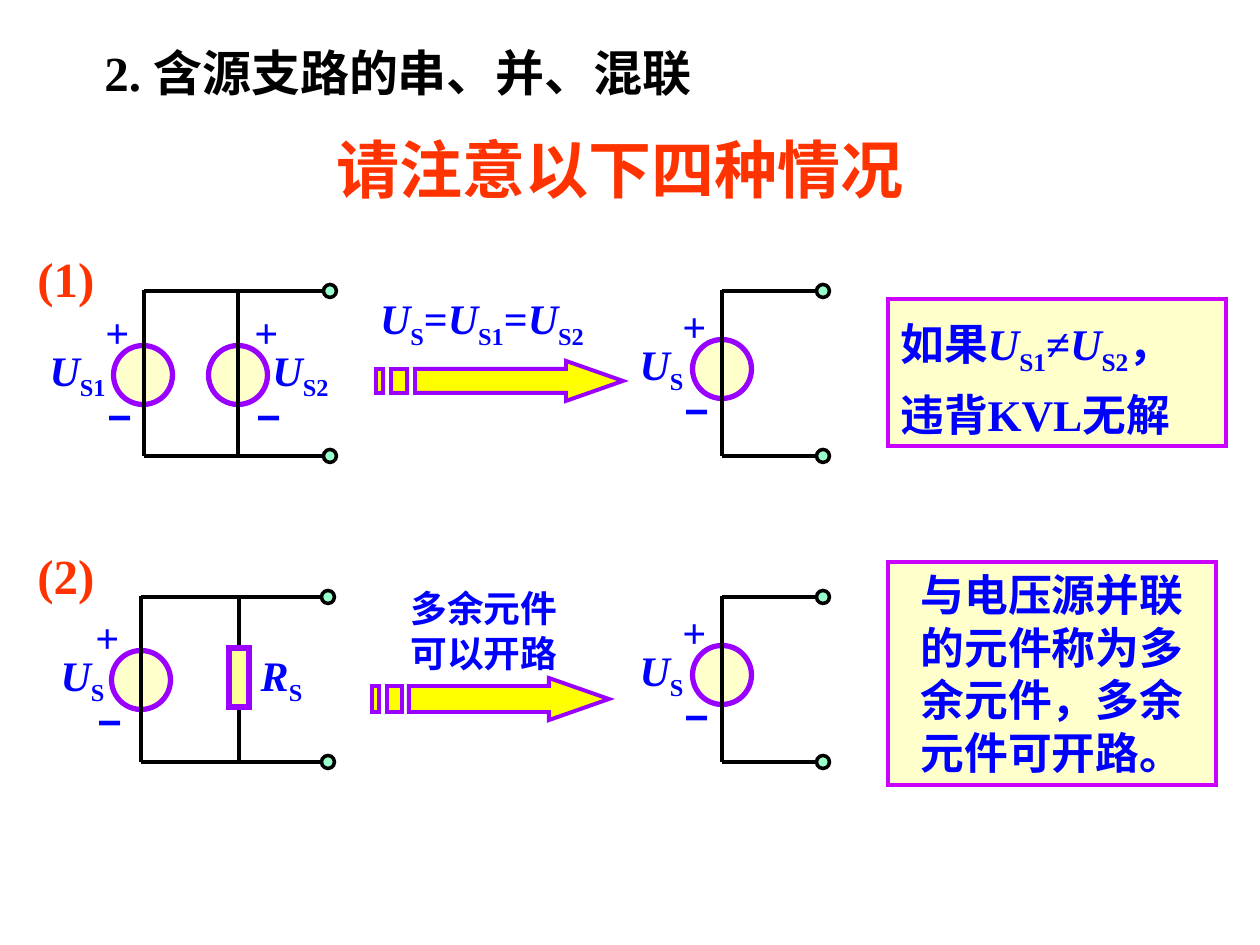
from lxml.etree import SubElement
from pptx import Presentation
from pptx.dml.color import RGBColor
from pptx.enum.shapes import MSO_CONNECTOR, MSO_SHAPE
from pptx.enum.text import MSO_ANCHOR, MSO_AUTO_SIZE, PP_ALIGN
from pptx.oxml.ns import qn
from pptx.util import Emu, Pt

COLORS = {
    "ink": "000000", "blue": "0000FF", "red": "FF3300", "cream": "FFFFCC",
    "resistor": "FFFF99", "terminal": "99FFCC", "arrow": "FFFF00",
    "violet": "9900FF", "frame": "CC00FF",
}
SERIF, SANS, CJK = "Times New Roman", "Arial", "Noto Sans CJK SC"
SCALE = 914400 / 126
SOURCE, TERMINAL, CIRCUIT_HEIGHT = 59, 13, 165


def quantity(letter, index):
    return [(letter, "italic"), (index, "sub")]


US, US1, US2, RS = (quantity(*q) for q in (("U", "S"), ("U", "S1"), ("U", "S2"), ("R", "S")))
EQUALS = [("=", "")]

HEADINGS = [
    ((282, 145, 675, 66), "请注意以下四种情况", 36, CJK, "red", PP_ALIGN.CENTER, 0.7),
    ((92, 36, 672, 72), "2. 含源支路的串、并、混联", 28, SERIF, "ink", PP_ALIGN.LEFT, 1),
    ((25, 242, 129, 72), "(1)", 28, SERIF, "red", PP_ALIGN.LEFT, 1),
    ((25, 539, 129, 72), "(2)", 28, SERIF, "red", PP_ALIGN.LEFT, 1),
]
NOTES = [
    ((888, 299, 338, 147), PP_ALIGN.LEFT, 1.2,
     [[("如果", "")] + US1 + [("≠", "")] + US2 + [("，", "")], [("违背KVL无解", "")]]),
    ((888, 562, 328, 223), PP_ALIGN.CENTER, 1,
     [[(line, "")] for line in ("与电压源并联", "的元件称为多", "余元件，多余", "元件可开路。")]),
]
CIRCUITS = [
    {"branches": [144, 238], "top": 291, "end": 330, "center": 375, "resistor": None,
     "sources": [(143, 93), (238, 242)],
     "labels": [(37, 81, US1), (260, 81, US2)]},
    {"branches": [722], "top": 291, "end": 823, "center": 369, "resistor": None,
     "sources": [(722, 670)], "labels": [(627, 69, US)]},
    {"branches": [141, 239], "top": 597, "end": 328, "center": 680, "resistor": (229, 648, 20, 59),
     "sources": [(141, 83)], "labels": [(48, 69, US), (248, 67, RS)]},
    {"branches": [722], "top": 597, "end": 823, "center": 675, "resistor": None,
     "sources": [(722, 670)], "labels": [(627, 69, US)]},
]
ARROWS = [
    {"bars": [(376, 383), (391, 407)], "shaft": 415, "neck": 566, "tip": 623, "middle": 381, "half": 20, "thick": 12},
    {"bars": [(372, 379), (387, 402)], "shaft": 409, "neck": 549, "tip": 609, "middle": 699, "half": 21, "thick": 13},
]
CAPTIONS = [
    ((352, 292, 260, 59), [US + EQUALS + US1 + EQUALS + US2], 24, 0.8),
    ((379, 580, 210, 101), [[("多余元件", "")], [("可以开路", "")]], 21, 1),
]


def px(value):
    return Emu(round(value * SCALE))


def rgb(name):
    return RGBColor.from_string(COLORS[name])


def paint(shape, fill, line, width):
    shape.shadow.inherit = False
    shape.fill.solid()
    shape.fill.fore_color.rgb = rgb(fill)
    shape.line.color.rgb = rgb(line)
    shape.line.width = Pt(width)
    outline = shape._element.spPr.find(qn("a:ln"))
    SubElement(outline, qn("a:miter")).set("lim", "800000")


def add_preset(shapes, preset, box, fill, line, width):
    shape = shapes.add_shape(preset, *map(px, box))
    paint(shape, fill, line, width)
    return shape


def add_disc(shapes, x, y, size, fill, line, width):
    add_preset(shapes, MSO_SHAPE.OVAL, (x - size / 2, y - size / 2, size, size), fill, line, width)


def add_wire(shapes, x1, y1, x2, y2):
    wire = shapes.add_connector(MSO_CONNECTOR.STRAIGHT, px(x1), px(y1), px(x2), px(y2))
    wire.line.color.rgb = rgb("ink")
    wire.line.width = Pt(2.25)
    SubElement(wire._element.spPr, qn("a:effectLst"))


def write(shape, lines, size, font=SERIF, color="blue", align=PP_ALIGN.CENTER,
          spacing=1, wrap=True, grow=True):
    frame = shape.text_frame
    frame.word_wrap = wrap
    frame.vertical_anchor = MSO_ANCHOR.TOP
    frame.auto_size = MSO_AUTO_SIZE.SHAPE_TO_FIT_TEXT if grow else MSO_AUTO_SIZE.NONE
    for number, parts in enumerate(lines):
        paragraph = frame.add_paragraph() if number else frame.paragraphs[0]
        paragraph.alignment = align
        paragraph.line_spacing = float(spacing)
        for words, style in parts:
            run = paragraph.add_run()
            run.text = words
            run.font.size = Pt(size)
            run.font.name = font
            run.font.bold = True
            run.font.italic = style == "italic"
            run.font.color.rgb = rgb(color)
            properties = run.font._element
            SubElement(properties, qn("a:ea")).set("typeface", CJK)
            if style == "sub":
                properties.set("baseline", "-25000")


def add_text(shapes, box, lines, size, **options):
    write(shapes.add_textbox(*map(px, box)), lines, size, **options)


def add_circuit(slide, circuit):
    shapes = slide.shapes.add_group_shape().shapes
    top, center, end = circuit["top"], circuit["center"], circuit["end"]
    bottom = top + CIRCUIT_HEIGHT
    for x, _ in circuit["sources"]:
        add_disc(shapes, x, center, SOURCE, "cream", "violet", 3)
    for x in circuit["branches"]:
        add_wire(shapes, x, top - 1, x, bottom)
    for y in (top, bottom):
        add_wire(shapes, circuit["branches"][0], y, end - 4, y)
        add_disc(shapes, end, y, TERMINAL, "terminal", "ink", 2)
    if circuit["resistor"]:
        add_preset(shapes, MSO_SHAPE.RECTANGLE, circuit["resistor"], "resistor", "violet", 3)
    for _, x in circuit["sources"]:
        add_text(shapes, (x, center - 75, 73, 87), [[("+", "")]], 24,
                 align=PP_ALIGN.JUSTIFY, grow=False)
        add_text(shapes, (x + 2, center + 9, 73, 58), [[("−", "")]], 24, font=SANS,
                 align=PP_ALIGN.JUSTIFY, grow=False)
    for x, width, symbol in circuit["labels"]:
        add_text(shapes, (x, center - 37, width, 71), [symbol], 24, wrap=False)


def add_arrow(slide, arrow):
    middle, half, thick = arrow["middle"], arrow["half"], arrow["thick"]
    shaft, neck, tip = arrow["shaft"], arrow["neck"], arrow["tip"]
    upper, lower = middle - thick, middle + thick
    outlines = [[(neck, middle - half), (neck, upper), (shaft, upper), (shaft, lower),
                 (neck, lower), (neck, middle + half), (tip, middle)]]
    outlines += [[(left, upper), (left, lower), (right, lower), (right, upper)]
                 for left, right in arrow["bars"]]
    builder = slide.shapes.build_freeform(*outlines[0][0], scale=SCALE)
    for number, (start, *rest) in enumerate(outlines):
        if number:
            builder.move_to(*start)
        builder.add_line_segments(rest, close=True)
    paint(builder.convert_to_shape(), "arrow", "violet", 2.25)


def main():
    deck = Presentation()
    deck.slide_width, deck.slide_height = px(1260), px(945)
    slide = deck.slides.add_slide(deck.slide_layouts[6])
    for box, align, spacing, lines in NOTES:
        note = add_preset(slide.shapes, MSO_SHAPE.RECTANGLE, box, "cream", "frame", 2.25)
        write(note, lines, 25, align=align, spacing=spacing)
    for circuit in CIRCUITS:
        add_circuit(slide, circuit)
    for arrow in ARROWS:
        add_arrow(slide, arrow)
    for box, lines, size, spacing in CAPTIONS:
        add_text(slide.shapes, box, lines, size, spacing=spacing, wrap=False)
    for box, words, size, font, color, align, spacing in HEADINGS:
        add_text(slide.shapes, box, [[(words, "")]], size, font=font, color=color,
                 align=align, spacing=spacing)
    deck.save("out.pptx")


if __name__ == "__main__":
    main()
